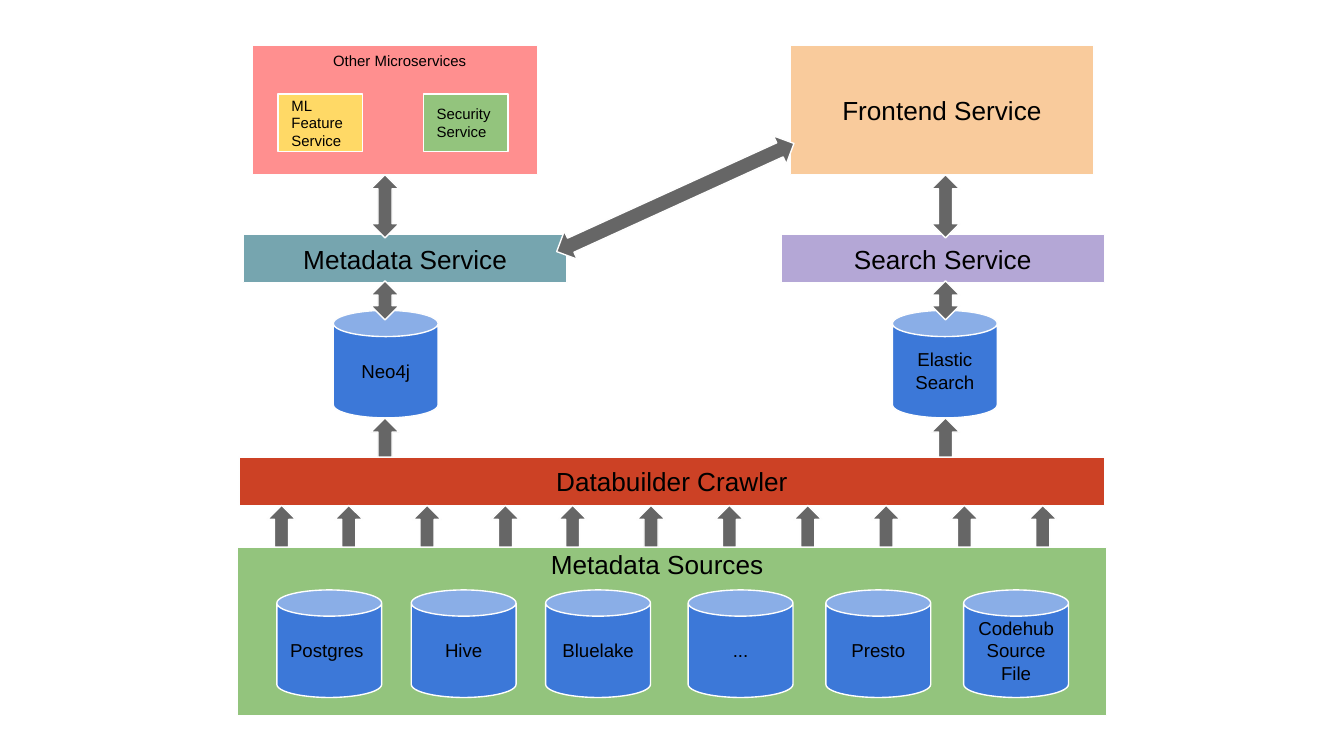
from dataclasses import dataclass
from itertools import accumulate

from pptx import Presentation
from pptx.dml.color import RGBColor
from pptx.enum.shapes import MSO_SHAPE as Shape
from pptx.enum.text import MSO_ANCHOR as Anchor, PP_ALIGN as Align
from pptx.slide import Slide
from pptx.util import Inches, Pt

COLUMNS = 100
ROWS = COLUMNS * 9 / 16
BLACK = RGBColor(0x00, 0x00, 0x00)
OUTLINE = RGBColor(0xFE, 0xFE, 0xFE)
GRAY = RGBColor(0x66, 0x66, 0x66)
BLUE = RGBColor(0x3C, 0x78, 0xD8)
GREEN = RGBColor(0x93, 0xC4, 0x7D)
RED = RGBColor(0xCC, 0x41, 0x25)
TEAL = RGBColor(0x76, 0xA5, 0xAF)
PURPLE = RGBColor(0xB4, 0xA7, 0xD6)
PEACH = RGBColor(0xF9, 0xCB, 0x9C)
PINK = RGBColor(0xFF, 0x8F, 0x8F)
YELLOW = RGBColor(0xFF, 0xD9, 0x66)


def write(frame, *texts, size=14, align=Align.CENTER, anchor=Anchor.MIDDLE, font="Arial", color=BLACK):
    """Fill a text frame with one paragraph per text, where a newline is a line break."""
    frame.word_wrap = True
    frame.vertical_anchor = anchor
    frame.margin_left = frame.margin_right = Inches(0.1)
    frame.margin_top = frame.margin_bottom = Inches(0.1)
    for index, text in enumerate(texts):
        paragraph = frame.add_paragraph() if index else frame.paragraphs[0]
        paragraph.text = text
        paragraph.alignment = align
        for run in paragraph.runs:
            run.font.name = font
            run.font.size = Pt(size)
            run.font.color.rgb = color


@dataclass
class Diagram:
    """Draws architecture elements on a slide, measured in grid columns and rows."""

    slide: Slide
    column: float
    row: float
    line_width: float = 0.75
    can_size: tuple = (7.8, 8)
    arrow_width: float = 2.1

    def place(self, left, top, width, height):
        """Turn grid units into slide lengths."""
        return (round(left * self.column), round(top * self.row),
                round(width * self.column), round(height * self.row))

    def shape(self, kind, area, fill, *texts, **text_format):
        """Add an outlined preset shape with optional text."""
        shape = self.slide.shapes.add_shape(kind, *self.place(*area))
        shape.shadow.inherit = False
        shape.fill.solid()
        shape.fill.fore_color.rgb = fill
        shape.line.color.rgb = OUTLINE
        shape.line.width = Pt(self.line_width)
        write(shape.text_frame, *texts, **text_format)
        return shape

    def box(self, area, fill, *texts, **text_format):
        """Add a rectangle."""
        return self.shape(Shape.RECTANGLE, area, fill, *texts, **text_format)

    def database(self, left, top, *texts, align=Align.CENTER):
        """Add a labelled cylinder."""
        return self.shape(Shape.CAN, (left, top, *self.can_size), BLUE, *texts, size=10, align=align)

    def arrow(self, kind, left, top, height):
        """Add a vertical block arrow."""
        return self.shape(kind, (left, top, self.arrow_width, height), GRAY)

    def label(self, area, text, size):
        """Add a left-aligned text box."""
        box = self.slide.shapes.add_textbox(*self.place(*area))
        write(box.text_frame, text, size=size, align=Align.LEFT, anchor=Anchor.TOP)


def main():
    """Build the service architecture slide."""
    presentation = Presentation()
    presentation.slide_width = Inches(10)
    presentation.slide_height = presentation.slide_width * 9 // 16
    slide = presentation.slides.add_slide(presentation.slide_layouts[6])
    diagram = Diagram(slide, presentation.slide_width / COLUMNS, presentation.slide_height / ROWS)

    diagram.box((17.65, 40.75, 64.7, 12.5), GREEN)
    sources = [
        (20.6, "Postgres", Align.LEFT),
        (30.6, "Hive", Align.CENTER),
        (40.6, "Bluelake", Align.CENTER),
        (51.2, "...", Align.CENTER),
        (61.45, "Presto", Align.CENTER),
        (71.7, "Codehub\nSource\nFile", Align.CENTER),
    ]
    for left, name, align in sources:
        diagram.database(left, 43.9, name, align=align)

    diagram.box((17.8, 34, 64.4, 3.6), RED, "Databuilder Crawler")
    narrow, wide = 5, 5.83
    for left in accumulate([19.9, narrow, wide, wide, narrow] + [wide] * 6):
        diagram.arrow(Shape.UP_ARROW, left, 37.6, 3.1)

    diagram.database(24.8, 23.1, "Neo4j")
    diagram.database(66.4, 23.1, "Elastic", "Search")
    diagram.box((18.1, 17.45, 24.1, 3.6), TEAL, "Metadata Service")
    diagram.box((58.1, 17.45, 24.1, 3.6), PURPLE, "Search Service")
    diagram.box((58.8, 3.4, 22.6, 9.6), PEACH, "Frontend Service")

    diagram.box((18.8, 3.4, 21.2, 9.6), PINK)
    diagram.box((20.7, 7, 6.3, 4.3), YELLOW, "ML Feature\nService", size=8, align=Align.LEFT)
    diagram.box((31.5, 7, 6.3, 4.3), GREEN, "Security\nService", size=8, align=Align.LEFT)
    diagram.label((23.8, 3.2, 12.6, 1.8), "Other Microservices", 8)

    for left in (27.6, 69.3):
        diagram.arrow(Shape.UP_ARROW, left, 31.1, 2.9)
        diagram.arrow(Shape.UP_DOWN_ARROW, left, 20.9, 2.9)
        diagram.arrow(Shape.UP_DOWN_ARROW, left, 13, 4.7)
    service_link = diagram.shape(Shape.UP_DOWN_ARROW, (49.1, 5, 2.3, 19.4), GRAY)
    service_link.rotation = 65.5

    diagram.label((40, 40, 18.6, 1.8), "Metadata Sources", 14)
    presentation.save("out.pptx")


if __name__ == "__main__":
    main()
